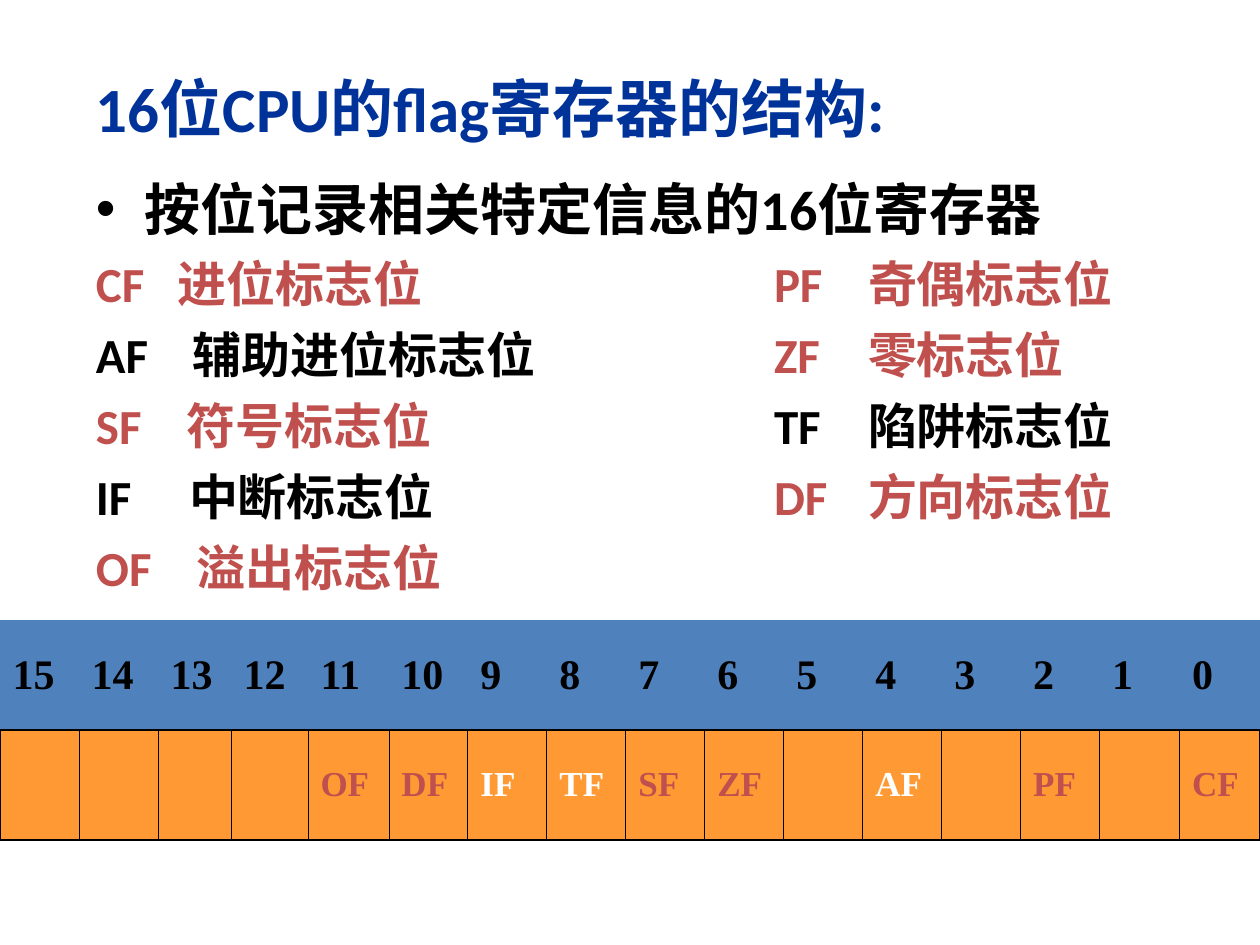
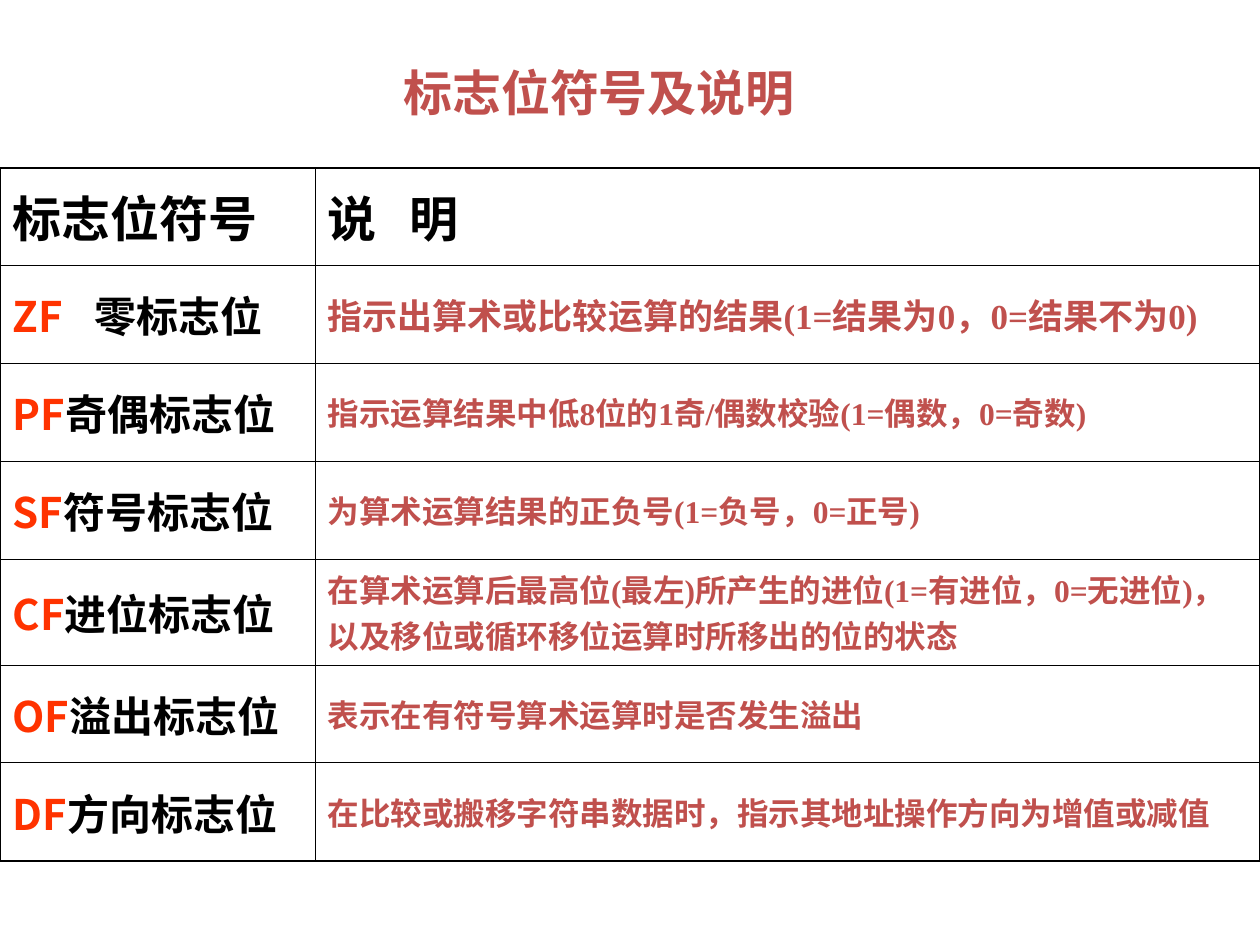
from dataclasses import dataclass
from typing import Any, NamedTuple, Optional

import lxml.etree
import pptx
import pptx.dml.color
import pptx.enum.text
import pptx.oxml.ns
import pptx.util

PX_PER_INCH = 126
TITLE_ONLY_LAYOUT = 5
PLAIN_TABLE_STYLE = "{2D5ABB26-0587-4C30-8999-92F81FD0307C}"
TOP = pptx.enum.text.MSO_ANCHOR.TOP
MIDDLE = pptx.enum.text.MSO_ANCHOR.MIDDLE
LEFT = pptx.enum.text.PP_ALIGN.LEFT
CENTER = pptx.enum.text.PP_ALIGN.CENTER
qn = pptx.oxml.ns.qn


@dataclass(frozen=True)
class Theme:
    black: str = "000000"
    white: str = "FFFFFF"
    navy: str = "003399"
    red: str = "C0504D"
    bright_red: str = "FF3300"
    blue: str = "4F81BD"
    orange: str = "FF9933"
    body_font: str = "Calibri"
    title_font: str = "Arial"
    table_font: str = "Times New Roman"
    chinese_font: str = "Noto Sans CJK SC"
    heading_size: int = 36
    bullet_size: int = 32
    large_size: int = 28
    label_size: int = 24
    medium_size: int = 20
    small_size: int = 18
    outer_line: float = 1.08
    inner_line: float = 0.45


THEME = Theme()


class Box(NamedTuple):
    left: int
    top: int
    width: int
    height: int


class Span(NamedTuple):
    text: str
    size: int
    color: str
    font: str


class Cell(NamedTuple):
    spans: list[Span]
    fill: Optional[str] = None


class Flag(NamedTuple):
    code: str
    label: str


class FlagRow(NamedTuple):
    label_left: int
    flags: list[Flag]


class Meaning(NamedTuple):
    code: str
    label: str
    text: str
    size: int = THEME.small_size


@dataclass(frozen=True)
class Grid:
    left: int
    top: int
    columns: list[int]
    rows: list[int]
    cells: list[list[Cell]]
    first_ruled_row: int = 0
    tab_stops: tuple[int, ...] = ()


SYSTEM_FLAGS = {"AF", "IF", "TF"}
FLAG_ROWS = [
    FlagRow(82, [Flag("CF", "进位标志位"), Flag("PF", "奇偶标志位")]),
    FlagRow(97, [Flag("AF", "辅助进位标志位"), Flag("ZF", "零标志位")]),
    FlagRow(91, [Flag("SF", "符号标志位"), Flag("TF", "陷阱标志位")]),
    FlagRow(93, [Flag("IF", "中断标志位"), Flag("DF", "方向标志位")]),
    FlagRow(101, [Flag("OF", "溢出标志位")]),
]
FLAG_BITS = {11: "OF", 10: "DF", 9: "IF", 8: "TF", 7: "SF", 6: "ZF", 4: "AF", 2: "PF", 0: "CF"}
MEANINGS = [
    Meaning("ZF\t", "零标志位", "指示出算术或比较运算的结果(1=结果为0，0=结果不为0)", THEME.medium_size),
    Meaning("PF", "奇偶标志位", "指示运算结果中低8位的1奇/偶数校验(1=偶数，0=奇数)"),
    Meaning("SF", "符号标志位", "为算术运算结果的正负号(1=负号，0=正号)"),
    Meaning("CF", "进位标志位", "在算术运算后最高位(最左)所产生的进位(1=有进位，0=无进位)，"
            "以及移位或循环移位运算时所移出的位的状态"),
    Meaning("OF", "溢出标志位", "表示在有符号算术运算时是否发生溢出"),
    Meaning("DF", "方向标志位", "在比较或搬移字符串数据时，指示其地址操作方向为增值或减值"),
]


def px(length: int) -> pptx.util.Emu:
    return pptx.util.Emu(round(length * pptx.util.Inches(1) / PX_PER_INCH))


def rgb(color: str) -> pptx.dml.color.RGBColor:
    return pptx.dml.color.RGBColor.from_string(color)


def apply_format(target: Any, values: dict[str, Any]) -> None:
    for name, value in values.items():
        setattr(target, name, value)


def add_spans(para: Any, spans: list[Span]) -> None:
    for span in spans:
        run = para.add_run()
        run.text = span.text
        apply_format(run.font, {"size": pptx.util.Pt(span.size), "bold": True, "name": span.font})
        run.font.color.rgb = rgb(span.color)


def set_chinese_font(slide: Any) -> None:
    for latin in list(slide.element.iter(qn("a:latin"))):
        east_asian = lxml.etree.Element(qn("a:ea"), typeface=THEME.chinese_font)
        latin.addnext(east_asian)


def set_tab_stops(para_xml: Any, stops: tuple[int, ...]) -> None:
    tab_list = lxml.etree.SubElement(para_xml.get_or_add_pPr(), qn("a:tabLst"))
    for stop in stops:
        lxml.etree.SubElement(tab_list, qn("a:tab"), pos=str(px(stop)), algn="l")


def set_bullet(para_xml: Any, indent: int) -> None:
    properties = para_xml.get_or_add_pPr()
    properties.set("marL", str(px(indent)))
    properties.set("indent", str(-px(indent)))
    lxml.etree.SubElement(properties, qn("a:buFont"), typeface="Arial")
    lxml.etree.SubElement(properties, qn("a:buChar"), char="•")


def prepare_frame(frame: Any) -> None:
    apply_format(frame, {
        "word_wrap": True, "vertical_anchor": TOP,
        "auto_size": pptx.enum.text.MSO_AUTO_SIZE.NONE,
        "margin_left": 0, "margin_right": 0, "margin_top": 0, "margin_bottom": 0,
    })


def add_titled_slide(deck: Any, box: Box, span: Span, alignment: Any) -> Any:
    slide = deck.slides.add_slide(deck.slide_layouts[TITLE_ONLY_LAYOUT])
    title = slide.shapes.title
    apply_format(title, {name: px(value) for name, value in box._asdict().items()})
    prepare_frame(title.text_frame)
    para = title.text_frame.paragraphs[0]
    para.alignment = alignment
    add_spans(para, [span])
    return slide


def set_borders(cell_xml: Any, widths: dict[str, float]) -> None:
    """Put the four side lines ahead of the fill, in the order the schema asks for."""
    properties = cell_xml.get_or_add_tcPr()
    for index, (side, width) in enumerate(widths.items()):
        line = lxml.etree.Element(qn(f"a:ln{side}"), w=str(pptx.util.Pt(width)))
        fill = lxml.etree.SubElement(line, qn("a:solidFill"))
        lxml.etree.SubElement(fill, qn("a:srgbClr"), val=THEME.black)
        properties.insert(index, line)


def add_grid(slide: Any, grid: Grid) -> None:
    row_count, column_count = len(grid.rows), len(grid.columns)
    frame = slide.shapes.add_table(
        row_count, column_count, px(grid.left), px(grid.top),
        px(sum(grid.columns)), px(sum(grid.rows)))
    table = frame.table
    apply_format(table, {"first_row": False, "horz_banding": False})
    next(frame.element.iter(qn("a:tableStyleId"))).text = PLAIN_TABLE_STYLE
    for column, width in zip(table.columns, grid.columns):
        column.width = px(width)
    for row, height in zip(table.rows, grid.rows):
        row.height = px(height)
    for index, cell_xml in enumerate(list(frame.element.iter(qn("a:tc")))):
        row, column = divmod(index, column_count)
        cell, content = table.cell(row, column), grid.cells[row][column]
        apply_format(cell, {"vertical_anchor": MIDDLE, "margin_top": px(3), "margin_bottom": px(3)})
        if content.fill:
            cell.fill.solid()
            cell.fill.fore_color.rgb = rgb(content.fill)
        else:
            cell.fill.background()
        add_spans(cell.text_frame.paragraphs[0], content.spans)
        if grid.tab_stops:
            set_tab_stops(next(cell_xml.iter(qn("a:p"))), grid.tab_stops)
        if row >= grid.first_ruled_row:
            on_edge = {"L": column == 0, "R": column == column_count - 1,
                       "T": row == grid.first_ruled_row, "B": row == row_count - 1}
            set_borders(cell_xml, {side: THEME.outer_line if outer else THEME.inner_line
                                   for side, outer in on_edge.items()})


def flag_color(code: str, system_color: str) -> str:
    return system_color if code in SYSTEM_FLAGS else THEME.red


def add_flag_list(slide: Any) -> None:
    box = slide.shapes.add_textbox(px(96), px(174), px(1112), px(430))
    frame = box.text_frame
    prepare_frame(frame)
    bullet = frame.paragraphs[0]
    bullet.line_spacing = pptx.util.Pt(38.5)
    add_spans(bullet, [Span("按位记录相关特定信息的16位寄存器", THEME.bullet_size,
                            THEME.black, THEME.body_font)])
    for row in FLAG_ROWS:
        para = frame.add_paragraph()
        apply_format(para, {"line_spacing": pptx.util.Pt(33.6), "space_before": pptx.util.Pt(7)})
        for index, flag in enumerate(row.flags):
            lead = "\t" if index else ""
            add_spans(para, [Span(f"{lead}{flag.code}\t{flag.label}", THEME.large_size,
                                  flag_color(flag.code, THEME.black), THEME.body_font)])
    bullet_xml, *rows_xml = list(box.element.iter(qn("a:p")))
    set_bullet(bullet_xml, 48)
    for row, row_xml in zip(FLAG_ROWS, rows_xml):
        set_tab_stops(row_xml, (row.label_left, 678, 772))


def build_register_slide(deck: Any) -> None:
    heading = Span("16位CPU的flag寄存器的结构:", THEME.heading_size, THEME.navy, THEME.body_font)
    slide = add_titled_slide(deck, Box(96, 70, 1112, 92), heading, LEFT)
    add_flag_list(slide)
    bits = range(15, -1, -1)
    numbers = [Cell([Span(str(bit), THEME.label_size, THEME.black, THEME.table_font)], THEME.blue)
               for bit in bits]
    codes = [Cell([Span(FLAG_BITS[bit], THEME.medium_size,
                        flag_color(FLAG_BITS[bit], THEME.white), THEME.table_font)]
                  if bit in FLAG_BITS else [], THEME.orange)
             for bit in bits]
    add_grid(slide, Grid(0, 620, [79, 79, 73, 77, 81] + [79] * 9 + [80] * 2, [110, 110],
                         [numbers, codes], first_ruled_row=1))
    set_chinese_font(slide)


def build_meaning_slide(deck: Any) -> None:
    heading = Span("标志位符号及说明", THEME.large_size, THEME.red, THEME.title_font)
    slide = add_titled_slide(deck, Box(289, 62, 620, 72), heading, CENTER)
    cells = [[Cell([Span(text, THEME.large_size, THEME.black, THEME.chinese_font)])
              for text in ("标志位符号", "说\t明")]]
    for meaning in MEANINGS:
        name = [Span(text, THEME.label_size, color, THEME.chinese_font)
                for text, color in ((meaning.code, THEME.bright_red), (meaning.label, THEME.black))]
        text = Span(meaning.text, meaning.size, THEME.red, THEME.table_font)
        cells.append([Cell(name), Cell([text])])
    add_grid(slide, Grid(0, 168, [315, 945], [97, 98, 98, 98, 106, 98, 98], cells,
                         tab_stops=(82,)))
    set_chinese_font(slide)


def main() -> None:
    deck = pptx.Presentation()
    apply_format(deck, {"slide_width": px(1260), "slide_height": px(945)})
    build_register_slide(deck)
    build_meaning_slide(deck)
    deck.save("out.pptx")


if __name__ == "__main__":
    main()
